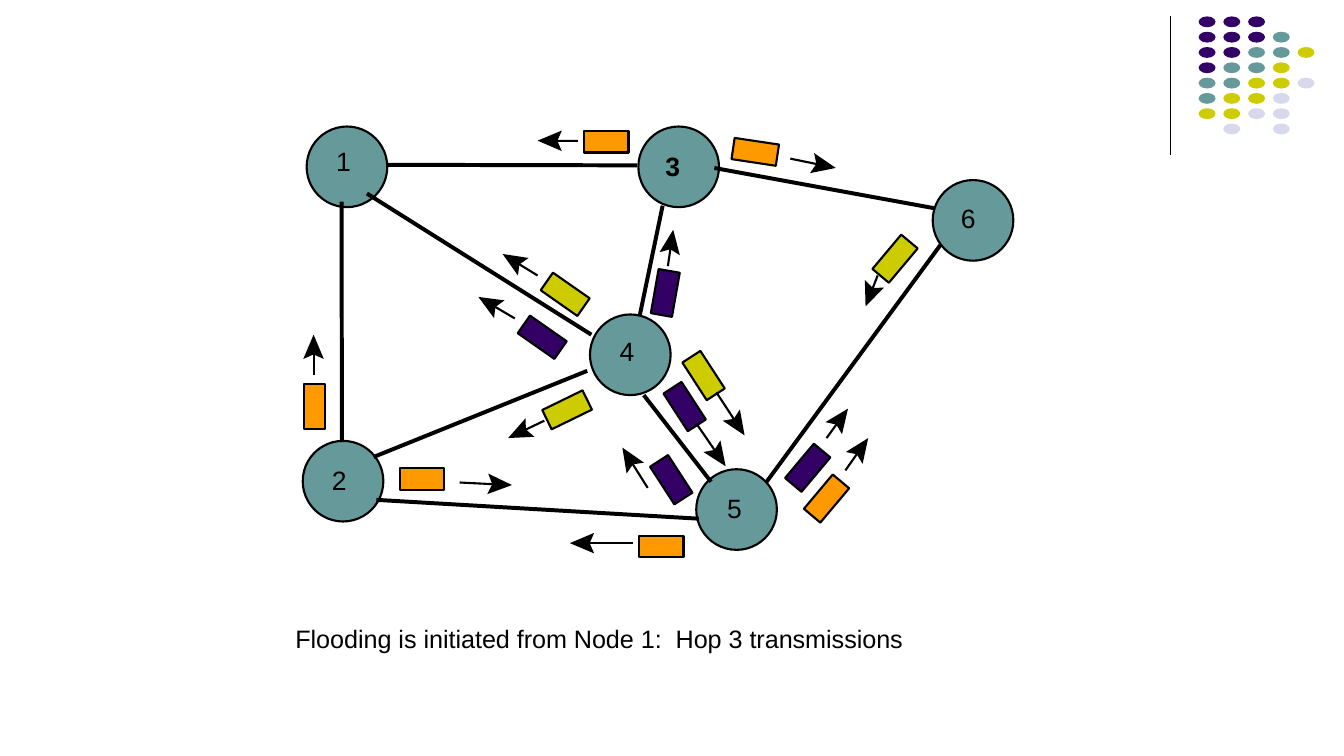
import math

import pptx
import pptx.dml.color
import pptx.enum.shapes
import pptx.enum.text
import pptx.oxml.ns
import pptx.util
import lxml.etree

Pt = pptx.util.Pt
SHAPE = pptx.enum.shapes.MSO_SHAPE

THEME = {
    "teal": "669999", "purple": "330066", "orange": "FF9900",
    "yellow": "CCCC00", "lavender": "D8D8EC", "black": "000000",
    "font": "Arial", "label_size": 14.2, "caption_size": 13.5,
    "outline": 1.13, "link": 2.13, "rule": 0.75,
}

CAPTION = "Flooding is initiated from Node 1:  Hop 3 transmissions"
CAPTION_BOX = (151.2, 330.5, 362.9, 23.8)

NODE_SIZE = 43.2
NODES = [
    ("1", (164.3, 67.8), (180, 77.8), False),
    ("2", (162.2, 236.2), (177.8, 248.4), False),
    ("3", (342, 67.8), (356.4, 80.6), True),
    ("4", (316.1, 168.5), (331.9, 179.3), False),
    ("5", (373, 251.4), (389.5, 263.5), False),
    ("6", (499.7, 96.5), (514.8, 108), False),
]

LINKS = [
    ((207.4, 88.3), (341.3, 88.6)),
    ((355, 110.2), (342.7, 169.2)),
    ((344.9, 211.7), (380.9, 258.1)),
    ((382.7, 90), (500.8, 111.6)),
    ((410.4, 258.5), (504, 131)),
    ((374.4, 277.9), (201.6, 267.8)),
    ((183, 108), (183.2, 236.9)),
    ((196.6, 103.7), (316.8, 179.3)),
    ((314.6, 198.7), (200.2, 244.8)),
]

PACKET_SIZE = (24, 11.5)
TRANSMISSIONS = [
    ("orange", (324.7, 76), 0, (309.6, 75.5), (288, 75.4)),
    ("orange", (404.6, 81.4), 8.5, (423.4, 85), (447.8, 90)),
    ("orange", (168.5, 217.8), 90, (168, 200.9), (168, 179.3)),
    ("purple", (290.5, 180.7), 35, (275.8, 170.6), (256.3, 159.1)),
    ("purple", (356.4, 157), -80, (357.8, 142.6), (360.7, 123.1)),
    ("purple", (359.6, 257), 57, (347, 261.4), (333.4, 239.8)),
    ("purple", (432.7, 250.6), -50, (442.8, 234.7), (454.3, 218.9)),
    ("purple", (366.8, 217.8), 57, (373, 226.8), (388.8, 249.8)),
    ("orange", (442.8, 267.1), -50, (452.9, 252), (465.1, 234.7)),
    ("orange", (354.2, 292.7), 0, (339.1, 291), (305.3, 291)),
    ("orange", (226.1, 256.7), 0, (246.2, 258.5), (274.3, 259.9)),
    ("yellow", (303.8, 219.6), -26, (291.6, 225.4), (272.2, 234.7)),
    ("yellow", (302.8, 157.7), 35, (288, 147.6), (269.3, 136.1)),
    ("yellow", (376.9, 201.2), 57, (383.8, 210.2), (398.9, 233.3)),
    ("yellow", (479.5, 138.6), -50, (470.2, 147.6), (463.7, 164.2)),
]

CORNER_RULE = ((627.1, 8.6), (627.1, 82.8))
DOT_ORIGIN, DOT_STEP, DOT_SIZE = (642.1, 8.8), (13.25, 8.2), (9.1, 5.8)
DOT_COLORS = {"P": "purple", "T": "teal", "Y": "yellow", "L": "lavender"}
DOT_ROWS = ["PPP", "PPPT", "PPTTY", "PTTY", "TTYYL", "TYYL", "YYLL", " L L"]


def rgb(color):
    return pptx.dml.color.RGBColor.from_string(THEME[color])


def paint(shape, fill, outline=None):
    shape.shadow.inherit = False
    shape.fill.solid()
    shape.fill.fore_color.rgb = rgb(fill)
    if outline:
        shape.line.color.rgb = rgb("black")
        shape.line.width = Pt(outline)
    else:
        shape.line.fill.background()


def add_preset(shapes, kind, box, fill, outline=None):
    paint(shapes.add_shape(kind, *map(Pt, box)), fill, outline)


def add_polygon(shapes, corners, fill, outline=None):
    start, *rest = [(Pt(x), Pt(y)) for x, y in corners]
    builder = shapes.build_freeform(*start, scale=1.0)
    builder.add_line_segments(rest, close=True)
    paint(builder.convert_to_shape(), fill, outline)


def add_line(shapes, start, end, width):
    line = shapes.add_connector(
        pptx.enum.shapes.MSO_CONNECTOR.STRAIGHT, *map(Pt, (*start, *end)))
    line.line.color.rgb = rgb("black")
    line.line.width = Pt(width)
    lxml.etree.SubElement(line._element.spPr, pptx.oxml.ns.qn("a:effectLst"))


def add_text(shapes, text, box, size, frame_format, bold=False):
    frame = shapes.add_textbox(*map(Pt, box)).text_frame
    for name, value in frame_format.items():
        setattr(frame, name, value)
    run = frame.paragraphs[0].add_run()
    run.text = text
    font_format = {"name": THEME["font"], "size": Pt(size), "bold": bold}
    for name, value in font_format.items():
        setattr(run.font, name, value)
    run.font.color.rgb = rgb("black")


def offset(point, angle, along, across):
    cos, sin = math.cos(angle), math.sin(angle)
    return (point[0] + along * cos - across * sin,
            point[1] + along * sin + across * cos)


def add_packet(shapes, color, center, degrees):
    width, height = PACKET_SIZE
    if degrees % 90 == 0:
        if degrees == 90:
            width, height = height, width
        box = (center[0] - width / 2, center[1] - height / 2, width, height)
        add_preset(shapes, SHAPE.RECTANGLE, box, color, THEME["outline"])
        return
    corners = [offset(center, math.radians(degrees), x * width / 2, y * height / 2)
               for x, y in ((-1, -1), (1, -1), (1, 1), (-1, 1))]
    add_polygon(shapes, corners, color, THEME["outline"])


def add_arrow(shapes, tail, tip):
    angle = math.atan2(tip[1] - tail[1], tip[0] - tail[0])
    add_line(shapes, tail, offset(tip, angle, -9.4, 0), THEME["outline"])
    head = [offset(tip, angle, along, across)
            for along, across in ((0, 0), (-13, 5.5), (-10.6, 0), (-13, -5.5))]
    add_polygon(shapes, head, "black")


def main():
    deck = pptx.Presentation()
    deck.slide_width, deck.slide_height = Pt(720), Pt(405)
    shapes = deck.slides.add_slide(deck.slide_layouts[6]).shapes

    add_line(shapes, *CORNER_RULE, THEME["rule"])
    for row, codes in enumerate(DOT_ROWS):
        for column, code in enumerate(codes):
            if code in DOT_COLORS:
                box = (DOT_ORIGIN[0] + column * DOT_STEP[0],
                       DOT_ORIGIN[1] + row * DOT_STEP[1], *DOT_SIZE)
                add_preset(shapes, SHAPE.OVAL, box, DOT_COLORS[code])

    for _, corner, _, _ in NODES:
        add_preset(shapes, SHAPE.OVAL, (*corner, NODE_SIZE, NODE_SIZE),
                   "teal", THEME["outline"])
    for start, end in LINKS:
        add_line(shapes, start, end, THEME["link"])

    label_format = {"margin_left": 0, "margin_top": 0, "margin_right": 0,
                    "margin_bottom": 0, "word_wrap": False,
                    "auto_size": pptx.enum.text.MSO_AUTO_SIZE.SHAPE_TO_FIT_TEXT}
    for label, _, label_corner, bold in NODES:
        add_text(shapes, label, (*label_corner, 7.9, 17.3),
                 THEME["label_size"], label_format, bold)

    for color, center, degrees, tail, tip in TRANSMISSIONS:
        add_packet(shapes, color, center, degrees)
        add_arrow(shapes, tail, tip)

    add_text(shapes, CAPTION, CAPTION_BOX, THEME["caption_size"], {"word_wrap": True})
    deck.save("out.pptx")


if __name__ == "__main__":
    main()
